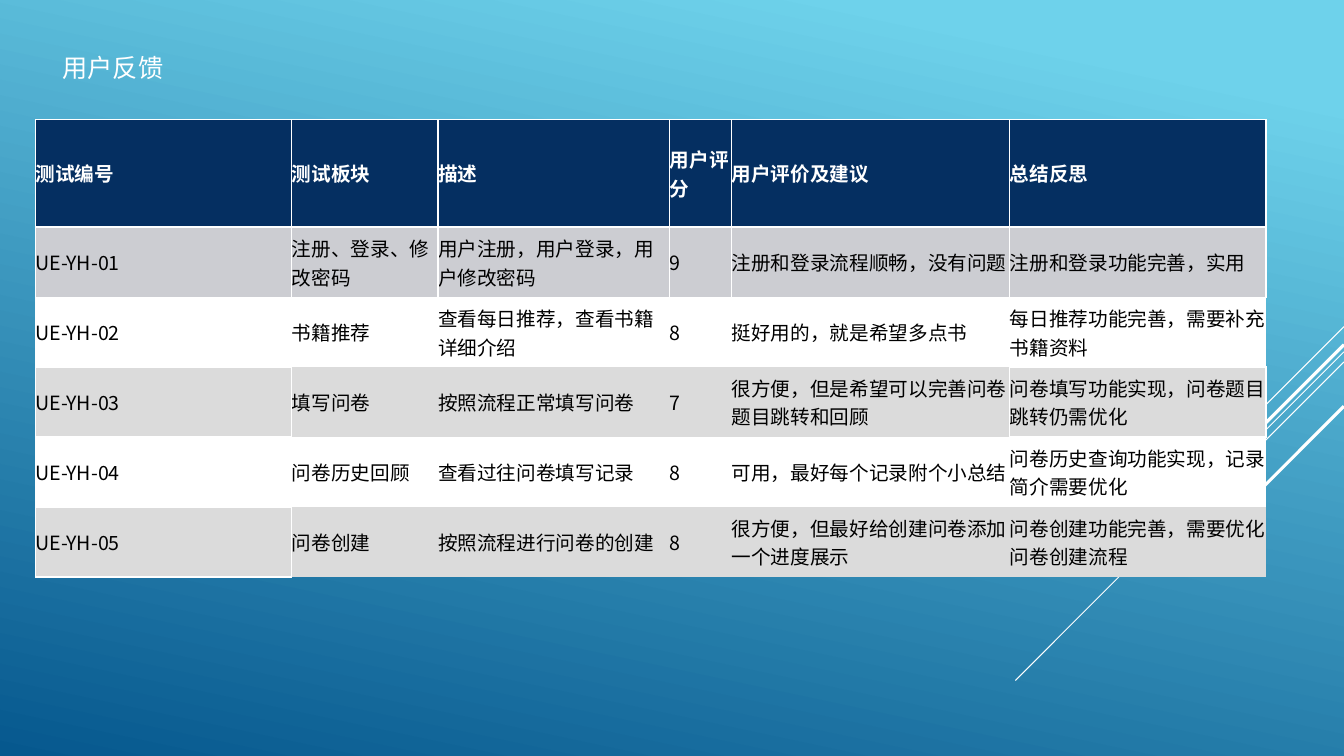
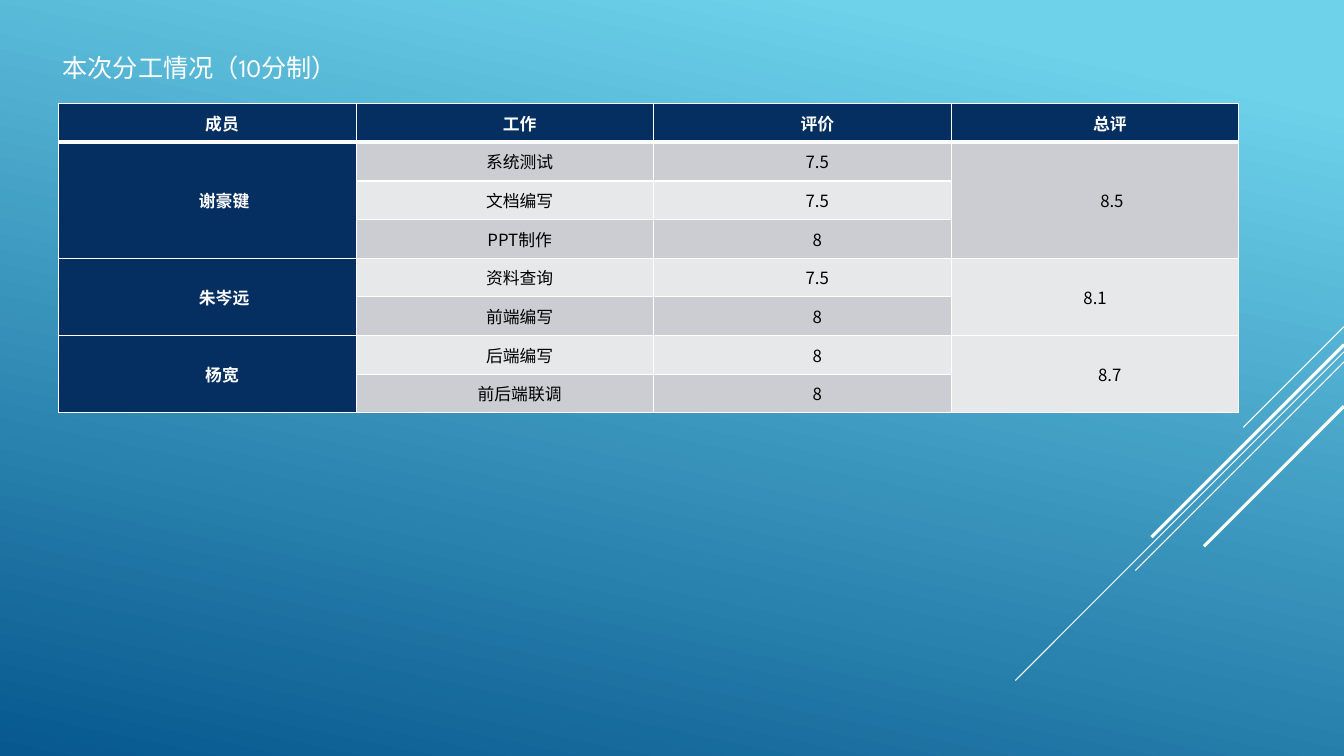
from dataclasses import dataclass

from lxml import etree
from pptx import Presentation
from pptx.dml.color import RGBColor
from pptx.enum.shapes import MSO_CONNECTOR
from pptx.enum.text import MSO_ANCHOR, MSO_AUTO_SIZE, PP_ALIGN
from pptx.oxml.ns import qn
from pptx.util import Pt

STRAIGHT = MSO_CONNECTOR.STRAIGHT
MIDDLE = MSO_ANCHOR.MIDDLE
FIT_SHAPE = MSO_AUTO_SIZE.SHAPE_TO_FIT_TEXT
LEFT, CENTER = PP_ALIGN.LEFT, PP_ALIGN.CENTER
TITLE_ONLY = 5
PAGE_WIDTH, PAGE_HEIGHT = 960, 540
PLAIN_TABLE_STYLE = "{2D5ABB26-0587-4C30-8999-92F81FD0307C}"


@dataclass(frozen=True)
class Theme:
    sky: str = "6ED2EB"
    ocean: str = "06588E"
    navy: str = "052F61"
    white: str = "FFFFFF"
    black: str = "000000"
    cool_gray: str = "CCCDD2"
    pale_gray: str = "E7E8EA"
    warm_gray: str = "DBDBDB"
    title_font: str = "League Spartan"
    body_font: str = "Noto Sans CJK SC"
    title_size: int = 18
    feedback_size: int = 14
    division_size: int = 12


THEME = Theme()

# Diagonals falling left from the right edge: start height, run, line width
DIAGONALS = [
    (233.3, 72, 0.75),
    (251.3, 234.7, 0.75),
    (258.5, 149, 0.75),
    (246.2, 137.5, 2.25),
    (290.2, 100, 2.25),
]

FEEDBACK = [
    ("测试编号", "测试板块", "描述", "用户评分", "用户评价及建议", "总结反思"),
    ("UE-YH-01", "注册、登录、修改密码", "用户注册，用户登录，用户修改密码", "9",
     "注册和登录流程顺畅，没有问题", "注册和登录功能完善，实用"),
    ("UE-YH-02", "书籍推荐", "查看每日推荐，查看书籍详细介绍", "8",
     "挺好用的，就是希望多点书", "每日推荐功能完善，需要补充书籍资料"),
    ("UE-YH-03", "填写问卷", "按照流程正常填写问卷", "7",
     "很方便，但是希望可以完善问卷题目跳转和回顾",
     "问卷填写功能实现，问卷题目跳转仍需优化"),
    ("UE-YH-04", "问卷历史回顾", "查看过往问卷填写记录", "8",
     "可用，最好每个记录附个小总结", "问卷历史查询功能实现，记录简介需要优化"),
    ("UE-YH-05", "问卷创建", "按照流程进行问卷的创建", "8",
     "很方便，但最好给创建问卷添加一个进度展示",
     "问卷创建功能完善，需要优化问卷创建流程"),
]

DIVISION_HEADER = ("成员", "工作", "评价", "总评")
# Member, name indent, total score, total indent, tasks with their scores
MEMBERS = [
    ("谢豪键", 24, "8.5", 24,
     [("系统测试", "7.5"), ("文档编写", "7.5"), ("PPT制作", "8")]),
    ("朱岑远", 24, "8.1", 0, [("资料查询", "7.5"), ("前端编写", "8")]),
    ("杨宽", 21, "8.7", 21, [("后端编写", "8"), ("前后端联调", "8")]),
]


def rgb(color):
    return RGBColor.from_string(color)


class Deck:
    def __init__(self, theme):
        self.theme = theme
        self.file = Presentation()
        self.file.slide_width = Pt(PAGE_WIDTH)
        self.file.slide_height = Pt(PAGE_HEIGHT)
        self.page = None
        self.paint_background()

    def paint_background(self):
        fill = self.file.slide_master.background.fill
        fill.gradient()
        fill.gradient_angle = 258
        colors = (self.theme.sky, self.theme.ocean)
        for stop, position, color in zip(fill.gradient_stops, (0.1, 1), colors):
            stop.position = position
            stop.color.rgb = rgb(color)

    def add_page(self, title):
        layout = self.file.slide_layouts[TITLE_ONLY]
        self.page = self.file.slides.add_slide(layout)
        for top, run, width in DIAGONALS:
            self.line(PAGE_WIDTH, top, PAGE_WIDTH - run, top + run, width)
        self.title(title)

    def line(self, x1, y1, x2, y2, width):
        connector = self.page.shapes.add_connector(
            STRAIGHT, Pt(x1), Pt(y1), Pt(x2), Pt(y2))
        connector.line.color.rgb = rgb(self.theme.white)
        connector.line.width = Pt(width)
        etree.SubElement(connector.element.spPr, qn("a:effectLst"))

    def title(self, text):
        box = self.page.shapes.title
        box.left, box.top = Pt(37.5), Pt(34)
        box.width, box.height = Pt(851), Pt(29)
        frame = box.text_frame
        frame.word_wrap = True
        frame.auto_size = FIT_SHAPE
        frame.vertical_anchor = MIDDLE
        para = frame.paragraphs[0]
        para.alignment = LEFT
        self.span(para, text, self.theme.title_size, self.theme.white,
                  font=self.theme.title_font)

    def span(self, para, text, size, color, bold=False, font=None):
        run = para.add_run()
        run.text = text
        run.font.size = Pt(size)
        run.font.bold = bold
        run.font.color.rgb = rgb(color)
        run.font.name = font or self.theme.body_font
        east_asian = etree.SubElement(run.font._element, qn("a:ea"))
        east_asian.set("typeface", self.theme.body_font)

    def table(self, left, top, widths, heights, side_margin=0):
        """Add an unstyled table whose cells are centred vertically."""
        frame = self.page.shapes.add_table(
            len(heights), len(widths), Pt(left), Pt(top),
            Pt(sum(widths)), Pt(sum(heights)))
        table = frame.table
        table.horz_banding = False
        table._tbl.tblPr.find(qn("a:tableStyleId")).text = PLAIN_TABLE_STYLE
        for column, width in zip(table.columns, widths):
            column.width = Pt(width)
        for row, height in zip(table.rows, heights):
            row.height = Pt(height)
        for cell in table.iter_cells():
            cell.vertical_anchor = MIDDLE
            cell.margin_left = cell.margin_right = Pt(side_margin)
            cell.margin_top = cell.margin_bottom = 0
        return table

    def borders(self, cell, top=1, bottom=1):
        properties = cell._tc.get_or_add_tcPr()
        for side, width in (("L", 1), ("R", 1), ("T", top), ("B", bottom)):
            line = etree.SubElement(properties, qn(f"a:ln{side}"), w=str(Pt(width)))
            fill = etree.SubElement(line, qn("a:solidFill"))
            etree.SubElement(fill, qn("a:srgbClr"), val=self.theme.white)

    def cell(self, cell, text, size, fill, heading=False, align=LEFT, indent=0):
        cell.fill.solid()
        cell.fill.fore_color.rgb = rgb(fill)
        para = cell.text_frame.paragraphs[0]
        para.alignment = align
        para._p.get_or_add_pPr().set("indent", str(Pt(indent)))
        color = self.theme.white if heading else self.theme.black
        self.span(para, text, size, color, bold=heading)


def feedback_page(deck):
    theme = deck.theme
    deck.add_page("用户反馈")
    widths = [183.2, 104.4, 165.6, 44.2, 198.7, 183]
    table = deck.table(25.3, 85.3, widths, [77] + [50] * 5)
    fills = [theme.navy, theme.cool_gray] + [theme.white, theme.warm_gray] * 2
    for row, (texts, fill) in enumerate(zip(FEEDBACK, fills)):
        for column, text in enumerate(texts):
            cell = table.cell(row, column)
            framed_gray = fill == theme.warm_gray and column == 0
            if row < 2 or framed_gray or (row, column) == (3, 5):
                deck.borders(cell, top=1.5 if row else 1, bottom=1 if row else 1.5)
            deck.cell(cell, text, theme.feedback_size, fill, heading=row == 0)


def division_page(deck):
    theme = deck.theme
    deck.add_page("本次分工情况（10分制）")
    task_count = sum(len(tasks) for *_, tasks in MEMBERS)
    table = deck.table(41.8, 74, [212.6] * 3 + [205.3],
                       [27.63] * (task_count + 1), side_margin=5)
    for index, cell in enumerate(table.iter_cells()):
        row = index // len(DIVISION_HEADER)
        deck.borders(cell, top=3 if row == 1 else 1, bottom=1 if row else 3)

    def write(row, column, text, fill, heading=False, indent=21):
        deck.cell(table.cell(row, column), text, theme.division_size, fill,
                  heading, CENTER, indent)

    for column, text in enumerate(DIVISION_HEADER):
        write(0, column, text, theme.navy, heading=True)
    bands = (theme.pale_gray, theme.cool_gray)
    first = 1
    for name, name_indent, total, total_indent, tasks in MEMBERS:
        last = first + len(tasks) - 1
        for column in (0, 3):
            table.cell(first, column).merge(table.cell(last, column))
        write(first, 0, name, theme.navy, heading=True, indent=name_indent)
        write(first, 3, total, bands[first % 2], indent=total_indent)
        for row, (work, score) in enumerate(tasks, first):
            write(row, 1, work, bands[row % 2])
            write(row, 2, score, bands[row % 2])
        first = last + 1


def main():
    deck = Deck(THEME)
    feedback_page(deck)
    division_page(deck)
    deck.file.save("out.pptx")


if __name__ == "__main__":
    main()
